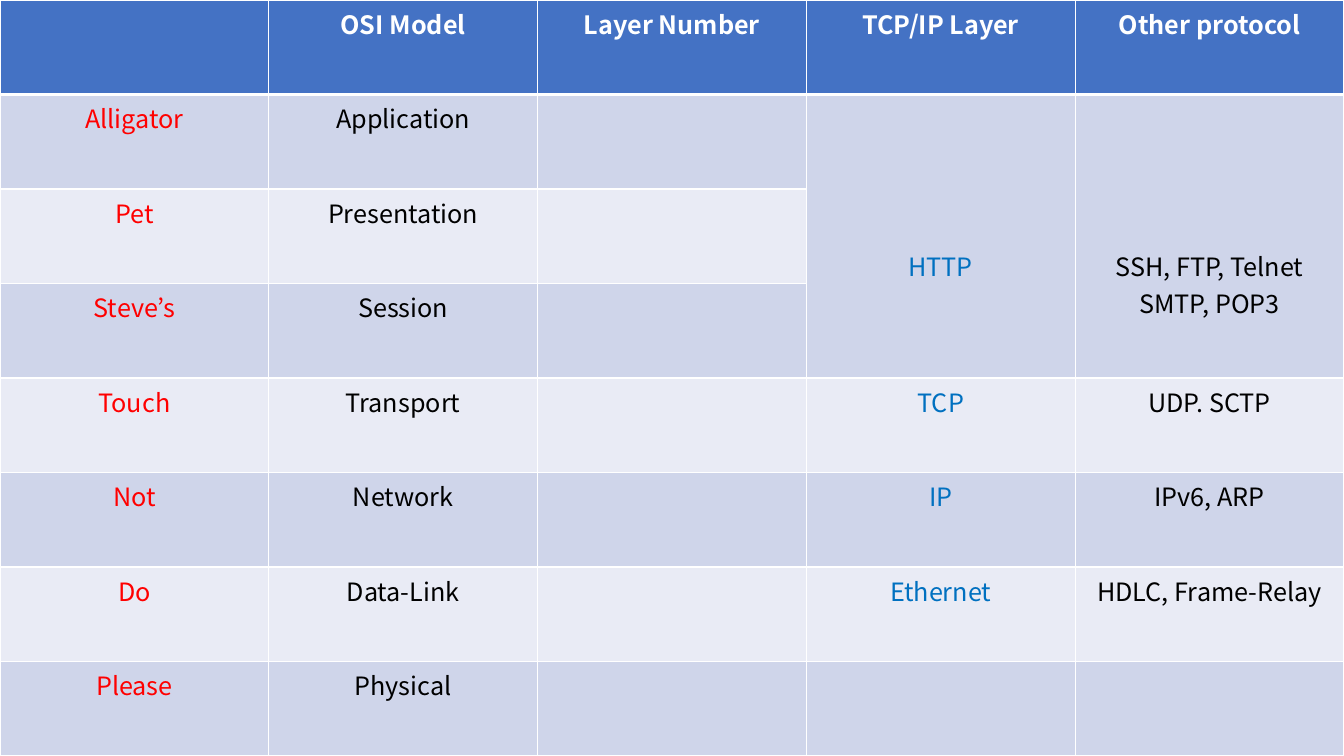
from lxml import etree
from pptx import Presentation
from pptx.dml.color import RGBColor
from pptx.enum.text import PP_ALIGN
from pptx.oxml.ns import qn
from pptx.util import Inches, Pt

CENTER = PP_ALIGN.CENTER
FONT = "Noto Sans CJK KR"
TEXT_SIZE = Pt(18)
LINE_HEIGHT = Pt(26.4)
CELL_MARGIN = Inches(0.05)
BLANK_LAYOUT = 6

COLORS = {
    "header": "4472C4",
    "band_dark": "CFD5EA",
    "band_light": "E9EBF5",
    "border": "FFFFFF",
    "header_text": "FFFFFF",
    "mnemonic": "FF0000",
    "tcp_ip": "0070C0",
    "plain": "000000",
}

HEADERS = ["", "OSI Model", "Layer Number", "TCP/IP Layer", "Other protocol"]
LAYERS = [
    ["Alligator", "Application", "", "HTTP", "SSH, FTP, Telnet\nSMTP, POP3"],
    ["Pet", "Presentation", "", "", ""],
    ["Steve’s", "Session", "", "", ""],
    ["Touch", "Transport", "", "TCP", "UDP. SCTP"],
    ["Not", "Network", "", "IP", "IPv6, ARP"],
    ["Do", "Data-Link", "", "Ethernet", "HDLC, Frame-Relay"],
    ["Please", "Physical", "", "", ""],
]
COLUMN_COLORS = ["mnemonic", "plain", "plain", "tcp_ip", "plain"]

# The three upper layers share one cell in each of these columns
MERGED_COLUMNS = (3, 4)
MERGED_ROWS = (1, 3)
LINES_ABOVE_MERGED_TEXT = 4


def rgb(name):
    return RGBColor.from_string(COLORS[name])


def add_borders(cell, row):
    """Draw thin lines around a cell, and a thick one below the header."""
    widths = {
        "L": 1,
        "R": 1,
        "T": 3 if row == 1 else 1,
        "B": 3 if row == 0 else 1,
    }
    properties = cell._tc.get_or_add_tcPr()
    for side, width in widths.items():
        line = etree.SubElement(properties, qn(f"a:ln{side}"), w=str(Pt(width)))
        fill = etree.SubElement(line, qn("a:solidFill"))
        etree.SubElement(fill, qn("a:srgbClr"), val=COLORS["border"])


def fill_cell(cell, fill_name):
    cell.fill.solid()
    cell.fill.fore_color.rgb = rgb(fill_name)


def write_cell(cell, text, color_name, bold):
    """Write centred text, one paragraph a line."""
    frame = cell.text_frame
    for index, line in enumerate(text.split("\n")):
        para = frame.add_paragraph() if index else frame.paragraphs[0]
        para.alignment = CENTER
        para.font.size = TEXT_SIZE
        if line:
            span = para.add_run()
            span.text = line
            span.font.name = FONT
            span.font.size = TEXT_SIZE
            span.font.bold = bold
            span.font.color.rgb = rgb(color_name)


def add_layer_table(page, width, height):
    rows = [HEADERS] + LAYERS
    frame = page.shapes.add_table(len(rows), len(HEADERS), 0, 0, width, height)
    table = frame.table

    # Equal grid over the whole slide
    for column in table.columns:
        column.width = width // len(HEADERS)
    for table_row in table.rows:
        table_row.height = height // len(rows)

    # Header and banded layers
    for row, texts in enumerate(rows):
        is_header = row == 0
        band = "band_dark" if row % 2 else "band_light"
        for column, text in enumerate(texts):
            cell = table.cell(row, column)
            color_name = "header_text" if is_header else COLUMN_COLORS[column]
            add_borders(cell, row)
            fill_cell(cell, "header" if is_header else band)
            write_cell(cell, text, color_name, is_header)

    # Shared cells of the upper layers
    first, last = MERGED_ROWS
    for column in MERGED_COLUMNS:
        cell = table.cell(first, column)
        cell.merge(table.cell(last, column))
        cell.margin_top = CELL_MARGIN + LINES_ABOVE_MERGED_TEXT * LINE_HEIGHT


def main():
    deck = Presentation()
    deck.slide_width = Inches(13.33)
    deck.slide_height = Inches(7.5)
    page = deck.slides.add_slide(deck.slide_layouts[BLANK_LAYOUT])
    add_layer_table(page, deck.slide_width, deck.slide_height)
    deck.save("out.pptx")


main()
